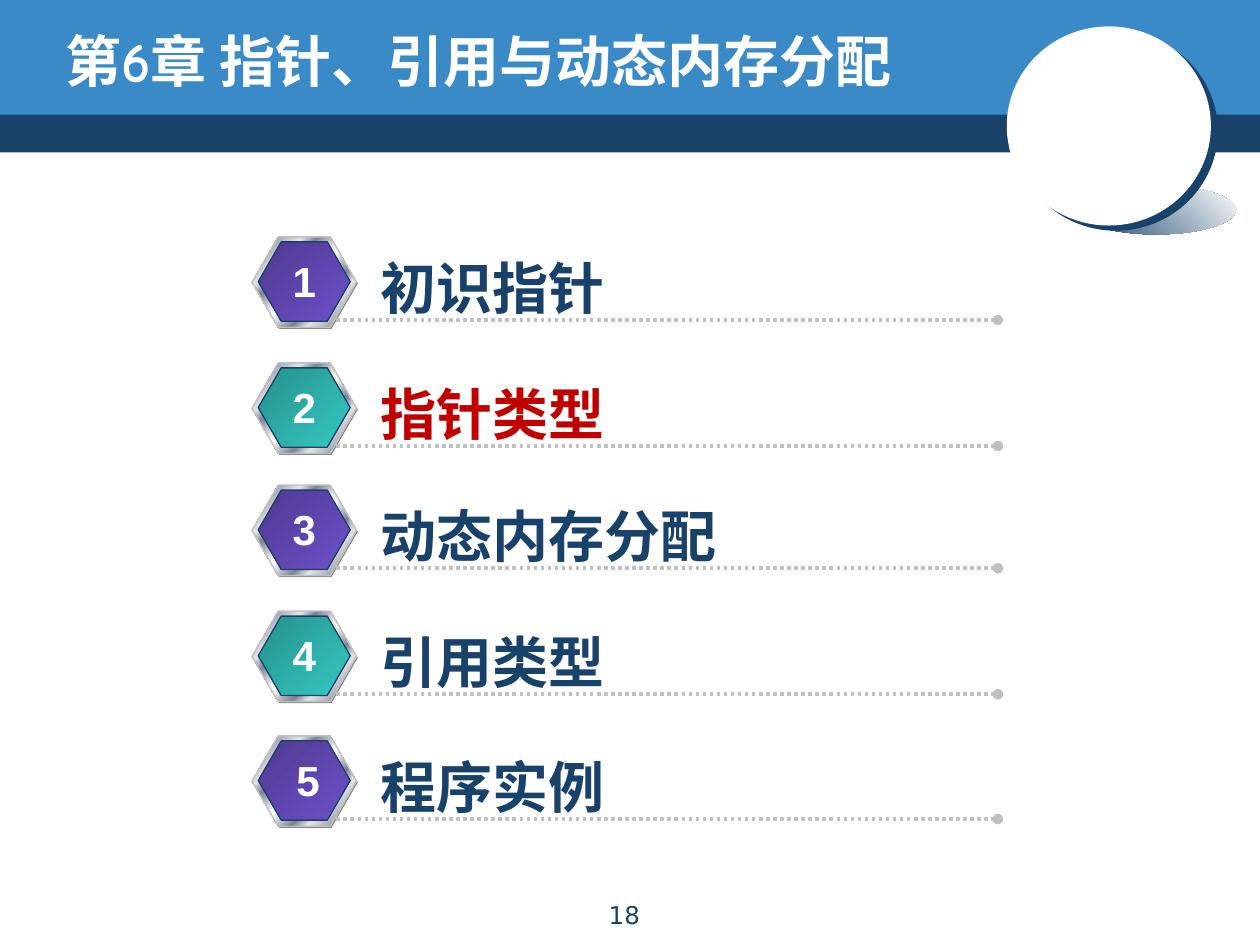
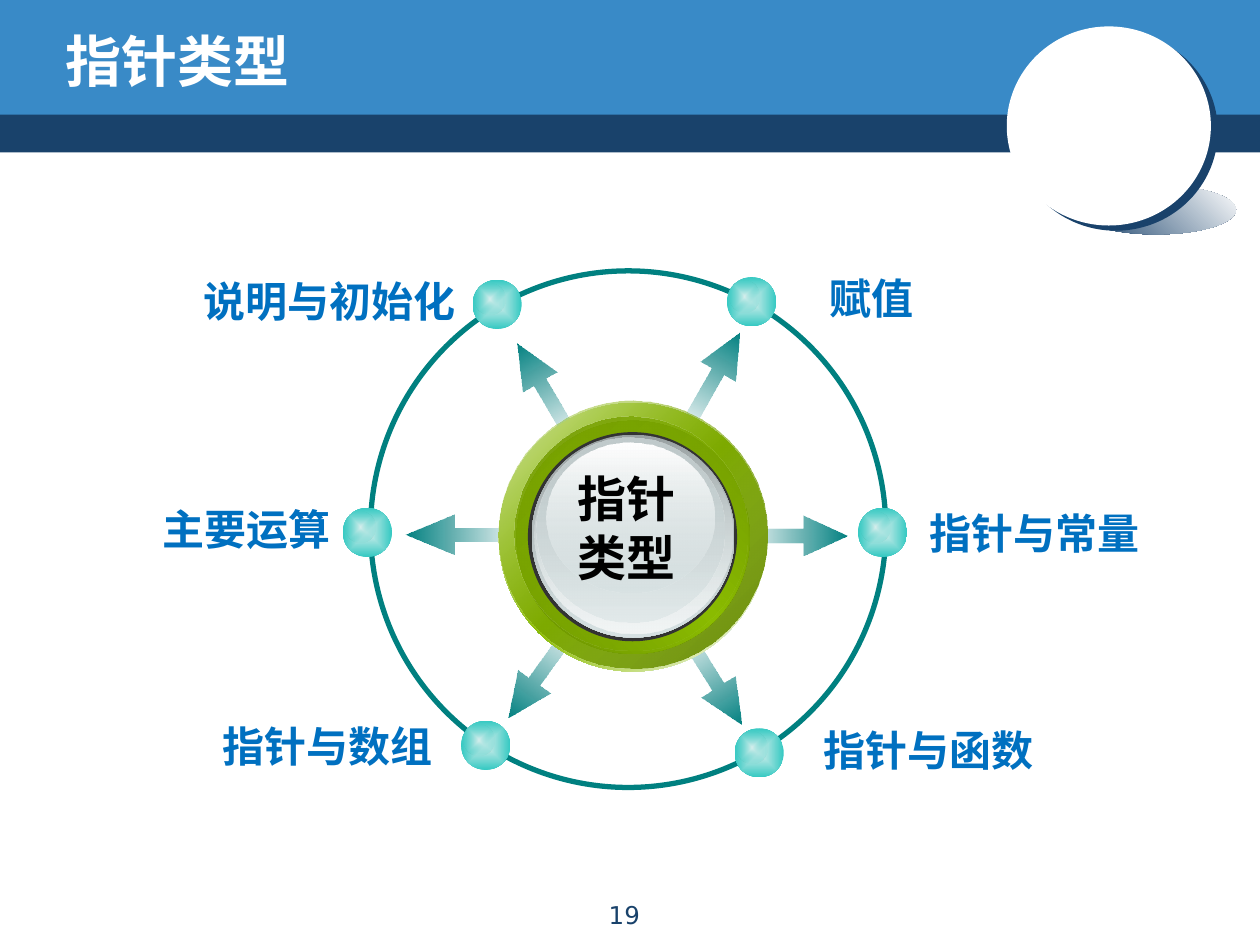
from lxml import etree
from pptx import Presentation, util as u
from pptx.dml import color
from pptx.enum import dml, shapes, text
from pptx.oxml import ns

RGB = color.RGBColor
NAVY = RGB(0x19, 0x42, 0x6B)
BLUE = RGB(0x39, 0x8A, 0xC7)
LABEL = RGB(0x00, 0x70, 0xC0)
RED = RGB(0xC0, 0x00, 0x00)
WHITE = RGB(0xFF, 0xFF, 0xFF)
BLACK = RGB(0x00, 0x00, 0x00)
GRAY = RGB(0x80, 0x80, 0x80)
SILVER = RGB(0xC0, 0xC0, 0xC0)
DARK = RGB(0x33, 0x33, 0x33)
PALE = RGB(0xE6, 0xE6, 0xE6)
STEEL = RGB(0x7D, 0x84, 0x96)
TEAL = RGB(0x00, 0x80, 0x80)
DEEP = RGB(0x00, 0x7A, 0x7A)
MINT = RGB(0xD7, 0xEF, 0xED)
AQUA = RGB(0x35, 0xC9, 0xC2)
LIME = RGB(0x8B, 0xBC, 0x00)
OLIVE = RGB(0x63, 0x86, 0x00)
MOSS = RGB(0x6A, 0x90, 0x00)
LEAF = RGB(0x72, 0x9A, 0x00)
SLATE = RGB(0x99, 0xA1, 0xA2)
ASH = RGB(0xC1, 0xCB, 0xCC)
MIST = RGB(0xD6, 0xE1, 0xE2)
FROST = RGB(0xF2, 0xF5, 0xF5)

# Gradient stops: position, colour and, where needed, opacity
METAL = [(0, PALE), (7, STEEL), (26, PALE), (34, STEEL), (46, PALE), (50, WHITE),
         (54, PALE), (66, STEEL), (74, PALE), (93, STEEL), (100, PALE)]
PURPLE = [(0, RGB(0x4E, 0x39, 0x90)), (100, RGB(0x6D, 0x50, 0xCA))]
GREEN = [(0, RGB(0x26, 0x90, 0x8B)), (100, AQUA)]
FADE = [(0, DEEP, 0), (100, TEAL)]

CJK = "Noto Sans CJK SC"
RECT = shapes.MSO_SHAPE.RECTANGLE
OVAL = shapes.MSO_SHAPE.OVAL
HEX = shapes.MSO_SHAPE.HEXAGON
ARROW = shapes.MSO_SHAPE.RIGHT_ARROW
LEFT, MID, RIGHT = text.PP_ALIGN.LEFT, text.PP_ALIGN.CENTER, text.PP_ALIGN.RIGHT


def draw(page, kind, box, fill=None, angle=None, line=None, width=0.75, adj=(), turn=0):
    """Add a shape; a list of stops gives a gradient, radial if it has no angle."""
    item = page.shapes.add_shape(kind, *map(u.Inches, box))
    item.shadow.inherit = False
    item.rotation = turn
    for i, value in enumerate(adj):
        item.adjustments[i] = value
    if line:
        item.line.color.rgb = line
        item.line.width = u.Pt(width)
    else:
        item.line.fill.background()
    if fill is None:
        item.fill.background()
    elif isinstance(fill, RGB):
        item.fill.solid()
        item.fill.fore_color.rgb = fill
    else:
        grad = etree.Element(ns.qn("a:gradFill"), rotWithShape="1")
        stops = etree.SubElement(grad, ns.qn("a:gsLst"))
        for pos, tint, *clear in fill:
            stop = etree.SubElement(stops, ns.qn("a:gs"), pos=str(pos * 1000))
            rgb = etree.SubElement(stop, ns.qn("a:srgbClr"), val=str(tint))
            for alpha in clear:
                etree.SubElement(rgb, ns.qn("a:alpha"), val=str(alpha * 1000))
        if angle is None:
            way = etree.SubElement(grad, ns.qn("a:path"), path="shape")
            etree.SubElement(way, ns.qn("a:fillToRect"),
                             dict.fromkeys("ltrb", "50000"))
        else:
            etree.SubElement(grad, ns.qn("a:lin"), ang=str(angle * 60000), scaled="0")
        item.element.spPr.insert(2, grad)
    return item


def write(page, words, box, size=24, font=CJK, tint=LABEL, bold=True, align=LEFT,
          wrap=False, anchor=text.MSO_ANCHOR.TOP):
    """Add a text box, one paragraph per line of words."""
    frame = page.shapes.add_textbox(*map(u.Inches, box)).text_frame
    frame.word_wrap = wrap
    frame.vertical_anchor = anchor
    frame.text = words
    for para in frame.paragraphs:
        para.alignment = align
        for run in para.runs:
            run.font.size = u.Pt(size)
            run.font.name = font
            run.font.bold = bold
            run.font.color.rgb = tint
            east = etree.SubElement(run.font._element, ns.qn("a:ea"))
            east.set("typeface", CJK)


deck = Presentation()
deck.slide_width = u.Inches(10)
deck.slide_height = u.Inches(7.5)

# Shared bands, disc, title and page number
pages = []
for number, title in [(18, "第6章 指针、引用与动态内存分配"), (19, "指针类型")]:
    page = deck.slides.add_slide(deck.slide_layouts[6])
    pages.append(page)
    draw(page, RECT, (0, 0.87, 10, 0.34), NAVY)
    draw(page, RECT, (0, 0, 10, 0.91), BLUE)
    draw(page, OVAL, (8.54, 1.47, 1.27, 0.39), [(0, NAVY), (100, WHITE)], 315)
    disc = draw(page, OVAL, (7.99, 0.21, 1.62, 1.58), WHITE)
    effect = disc.element.spPr.find(ns.qn("a:effectLst"))
    shade = etree.SubElement(effect, ns.qn("a:outerShdw"), blurRad="0",
                             dist=str(u.Pt(5)), dir=str(37 * 60000),
                             algn="ctr", rotWithShape="0")
    etree.SubElement(shade, ns.qn("a:srgbClr"), val=str(NAVY))
    write(page, title, (0.42, 0.17, 8.08, 0.62), size=32, font="Comic Neue",
          tint=WHITE, wrap=True, anchor=text.MSO_ANCHOR.MIDDLE)
    write(page, str(number), (4.05, 7.09, 1.81, 0.32), size=14, font="DejaVu Sans",
          tint=NAVY, bold=False, align=MID, wrap=True)
agenda, wheel = pages

# Agenda rows: hexagon badge, dotted rule, topic and number
rows = [(1.88, "初识指针", 2), (2.88, "指针类型", 2), (3.85, "动态内存分配", 2.91),
        (4.85, "引用类型", 2), (5.84, "程序实例", 2)]
for i, (top, topic, width) in enumerate(rows, 1):
    draw(agenda, HEX, (2.01, top + 0.01, 0.83, 0.72), GRAY, adj=[0.289])
    draw(agenda, HEX, (2, top, 0.83, 0.72), METAL, 45, SILVER, adj=[0.289])
    draw(agenda, HEX, (2.05, top + 0.04, 0.73, 0.63), PURPLE if i % 2 else GREEN,
         45, NAVY, adj=[0.289])
    level = u.Inches(top + 0.66)
    rule = agenda.shapes.add_connector(shapes.MSO_CONNECTOR.STRAIGHT,
                                       u.Inches(2.67), level, u.Inches(7.92), level)
    rule.line.color.rgb = SILVER
    rule.line.width = u.Pt(2)
    rule.line.dash_style = dml.MSO_LINE.ROUND_DOT
    etree.SubElement(rule.line._get_or_add_ln(), ns.qn("a:tailEnd"), type="oval")
    etree.SubElement(rule.element.spPr, ns.qn("a:effectLst"))
    write(agenda, topic, (2.92, top + 0.08, width, 0.64), size=32, font="Arial",
          tint=RED if i == 2 else NAVY)
    write(agenda, str(i), (2.25 if i == 5 else 2.22, top + 0.1, 0.39, 0.5),
          font="Arial", tint=WHITE, align=MID)

# Arrows out of the hub, then the ring
for x, y, width, turn in [(5.22, 2.86, 0.87, 299.6), (5.22, 5.22, 0.87, 57.8),
                          (3.89, 2.94, 0.87, 239.5), (3.85, 5.18, 0.87, 125.6),
                          (5.86, 4.09, 0.87, 0), (3.22, 4.08, 0.94, 180)]:
    draw(wheel, ARROW, (x, y, width, 0.32), FADE, 0,
         adj=[0.352, 1.21 if turn == 180 else 1.11], turn=turn)
draw(wheel, OVAL, (2.94, 2.15, 4.09, 4.1), line=TEAL, width=3)

# Dots on the ring, each with its label
for x, y, label, left, top, width in [
        (3.75, 2.22, "说明与初始化", 1.49, 2.14, 2.22),
        (2.72, 4.03, "主要运算", 1.16, 3.95, 1.56),
        (3.66, 5.72, "指针与数组", 1.64, 5.67, 1.89),
        (5.77, 2.2, "赋值", 6.47, 2.11, 0.88),
        (6.81, 4.03, "指针与常量", 7.25, 3.98, 1.89),
        (5.83, 5.78, "指针与函数", 6.41, 5.7, 1.89)]:
    draw(wheel, OVAL, (x, y, 0.39, 0.39), [(0, MINT), (100, AQUA)])
    draw(wheel, OVAL, (x + 0.02, y + 0.03, 0.24, 0.25), [(0, MINT), (100, AQUA, 0)])
    write(wheel, label, (left, top, width, 0.5), align=RIGHT)

# Hub: stacked discs from the green rim to the glass face
for x, y, width, height, fill, angle in [
        (3.96, 3.2, 2.13, 2.13, [(0, WHITE), (50, LIME), (100, WHITE)], 45),
        (3.96, 3.18, 2.13, 2.13, [(0, LIME, 32), (100, OLIVE)], 45),
        (4.1, 3.34, 1.85, 1.85, [(0, MOSS), (50, LIME), (100, MOSS)], 315),
        (4.08, 3.31, 1.85, 1.85, [(0, LEAF), (100, LIME, 0)], 45),
        (4.19, 3.43, 1.66, 1.66, DARK, None),
        (4.22, 3.45, 1.61, 1.61, [(0, SLATE), (100, MIST)], 90),
        (4.24, 3.46, 1.57, 1.57, [(0, MIST, 0), (100, FROST)], 90),
        (4.26, 3.47, 1.49, 1.47, [(0, ASH), (100, MIST, 48)], 90),
        (4.34, 3.51, 1.33, 1.19, [(0, WHITE), (100, MIST, 38)], 90)]:
    draw(wheel, OVAL, (x, y, width, height), fill, angle)
write(wheel, "指针\n类型", (4.48, 3.67, 0.99, 1.04), size=28, tint=BLACK, align=MID)

deck.save("out.pptx")
